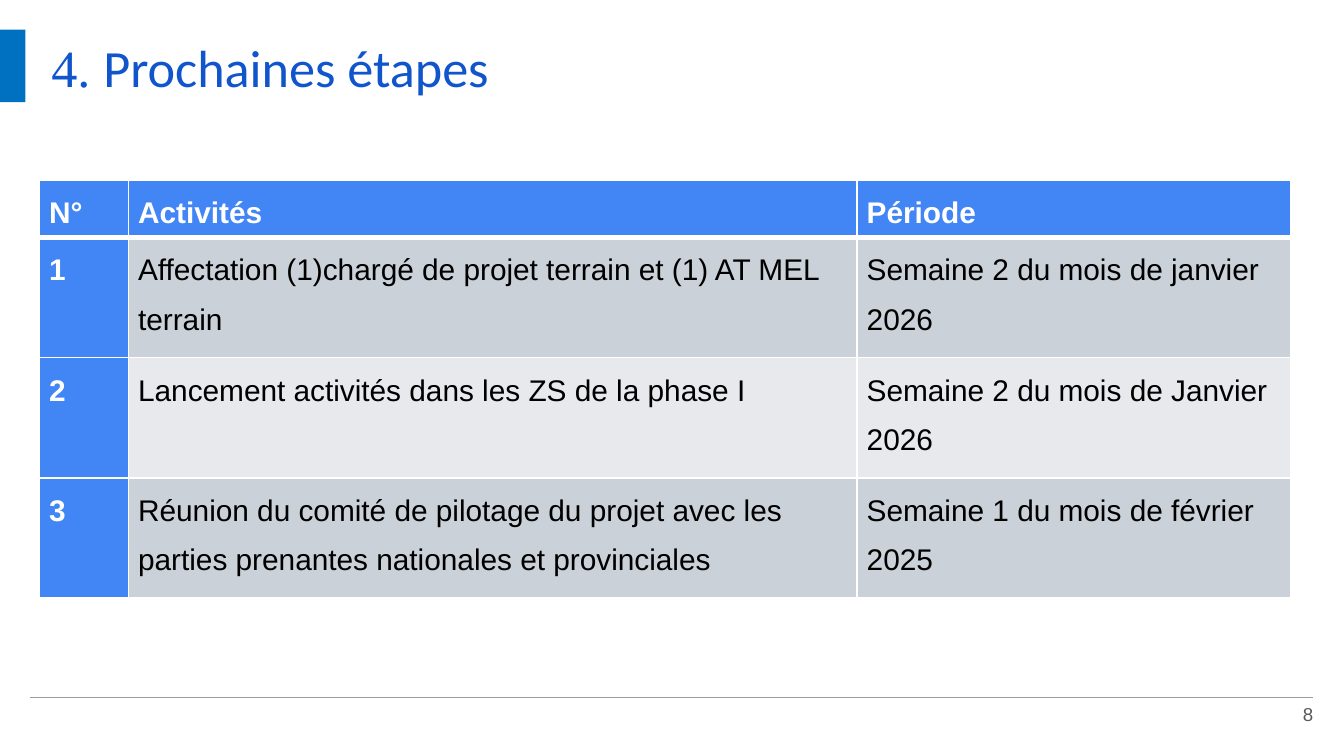
"""Build the "Prochaines étapes" slide with its activity schedule."""
from lxml.etree import SubElement
from pptx import Presentation
from pptx.dml.color import RGBColor
from pptx.enum.shapes import MSO_CONNECTOR, MSO_SHAPE
from pptx.enum.text import MSO_ANCHOR, PP_ALIGN
from pptx.oxml.ns import qn
from pptx.util import Cm, Pt

TITLE = [("4. ", "Times New Roman"), ("Prochaines étapes", "Calibri")]
PAGE_NUMBER = "8"
SCHEDULE = [
    ("N°", "Activités", "Période"),
    ("1", "Affectation (1)chargé de projet terrain et (1) AT MEL terrain",
     "Semaine 2 du mois de janvier 2026"),
    ("2", "Lancement activités dans les ZS de la phase I",
     "Semaine 2 du mois de Janvier 2026"),
    ("3", "Réunion du comité de pilotage du projet avec les parties prenantes "
     "nationales et provinciales", "Semaine 1 du mois de février 2025"),
]
COLUMN_WIDTHS = [1.68, 13.77, 8.2]
ROW_HEIGHTS = [1.09] + [2.27] * (len(SCHEDULE) - 1)
COLORS = {
    "title": "1155CC", "accent": "0070C0", "rule": "9E9E9E", "number": "595959",
    "header": "4285F4", "odd": "CAD1D8", "even": "E7E9EC",
    "light": "FFFFFF", "dark": "000000",
}


def color(name):
    return RGBColor.from_string(COLORS[name])


def style(run, font_name, size, color_name, bold=False):
    run.font.name = font_name
    run.font.size = Pt(size)
    run.font.bold = bold
    run.font.color.rgb = color(color_name)


def add_frame(slide, left, top, width, height, inset):
    frame = slide.shapes.add_textbox(Cm(left), Cm(top), Cm(width), Cm(height)).text_frame
    frame.word_wrap = True
    frame.margin_left = frame.margin_right = Cm(inset)
    frame.margin_top = frame.margin_bottom = Cm(inset)
    return frame


def add_borders(cell, bottom_width):
    properties = cell._tc.get_or_add_tcPr()
    widths = {"a:lnL": 1, "a:lnR": 1, "a:lnT": 1, "a:lnB": bottom_width}
    for position, (side, width) in enumerate(widths.items()):
        border = SubElement(properties, qn(side), w=str(Pt(width)))
        fill = SubElement(border, qn("a:solidFill"))
        SubElement(fill, qn("a:srgbClr"), val=COLORS["light"])
        properties.insert(position, border)


def fill_cell(cell, text, row, column):
    heading = row == 0 or column == 0
    cell.margin_left = cell.margin_right = Cm(0.18)
    cell.margin_top = cell.margin_bottom = 0
    cell.fill.solid()
    cell.fill.fore_color.rgb = color("header" if heading else "odd" if row % 2 else "even")
    cell.text_frame.text = text
    paragraph = cell.text_frame.paragraphs[0]
    paragraph.line_spacing = 1.5
    paragraph.space_after = Pt(8)
    style(paragraph.runs[0], "Arial", 16, "light" if heading else "dark", heading)
    add_borders(cell, 3 if row == 0 else 1)


def add_schedule(slide):
    table = slide.shapes.add_table(
        len(SCHEDULE), len(COLUMN_WIDTHS), Cm(0.75), Cm(3.4),
        Cm(sum(COLUMN_WIDTHS)), Cm(sum(ROW_HEIGHTS))).table
    for column, width in zip(table.columns, COLUMN_WIDTHS):
        column.width = Cm(width)
    for row, height in zip(table.rows, ROW_HEIGHTS):
        row.height = Cm(height)
    for row, texts in enumerate(SCHEDULE):
        for column, text in enumerate(texts):
            fill_cell(table.cell(row, column), text, row, column)


def main():
    presentation = Presentation()
    presentation.slide_width, presentation.slide_height = Cm(25.4), Cm(14.29)
    slide = presentation.slides.add_slide(presentation.slide_layouts[6])

    title = add_frame(slide, 0.97, 0.66, 23.5, 1.52, 0).paragraphs[0]
    for text, font_name in TITLE:
        run = title.add_run()
        run.text = text
        style(run, font_name, 28, "title")

    accent = slide.shapes.add_shape(MSO_SHAPE.RECTANGLE, 0, Cm(0.56), Cm(0.48), Cm(1.37))
    accent.shadow.inherit = False
    accent.fill.solid()
    accent.fill.fore_color.rgb = color("accent")
    accent.line.fill.background()

    rule = slide.shapes.add_connector(
        MSO_CONNECTOR.STRAIGHT, Cm(0.56), Cm(13.18), Cm(24.82), Cm(13.18))
    rule.line.color.rgb = color("rule")
    rule.line.width = Pt(0.75)
    SubElement(rule._element.spPr, qn("a:effectLst"))

    footer = add_frame(slide, 23.55, 12.95, 1.52, 1.09, 0.25)
    footer.vertical_anchor = MSO_ANCHOR.MIDDLE
    footer.text = PAGE_NUMBER
    footer.paragraphs[0].alignment = PP_ALIGN.RIGHT
    style(footer.paragraphs[0].runs[0], "Arial", 10, "number")

    add_schedule(slide)
    presentation.save("out.pptx")


if __name__ == "__main__":
    main()
